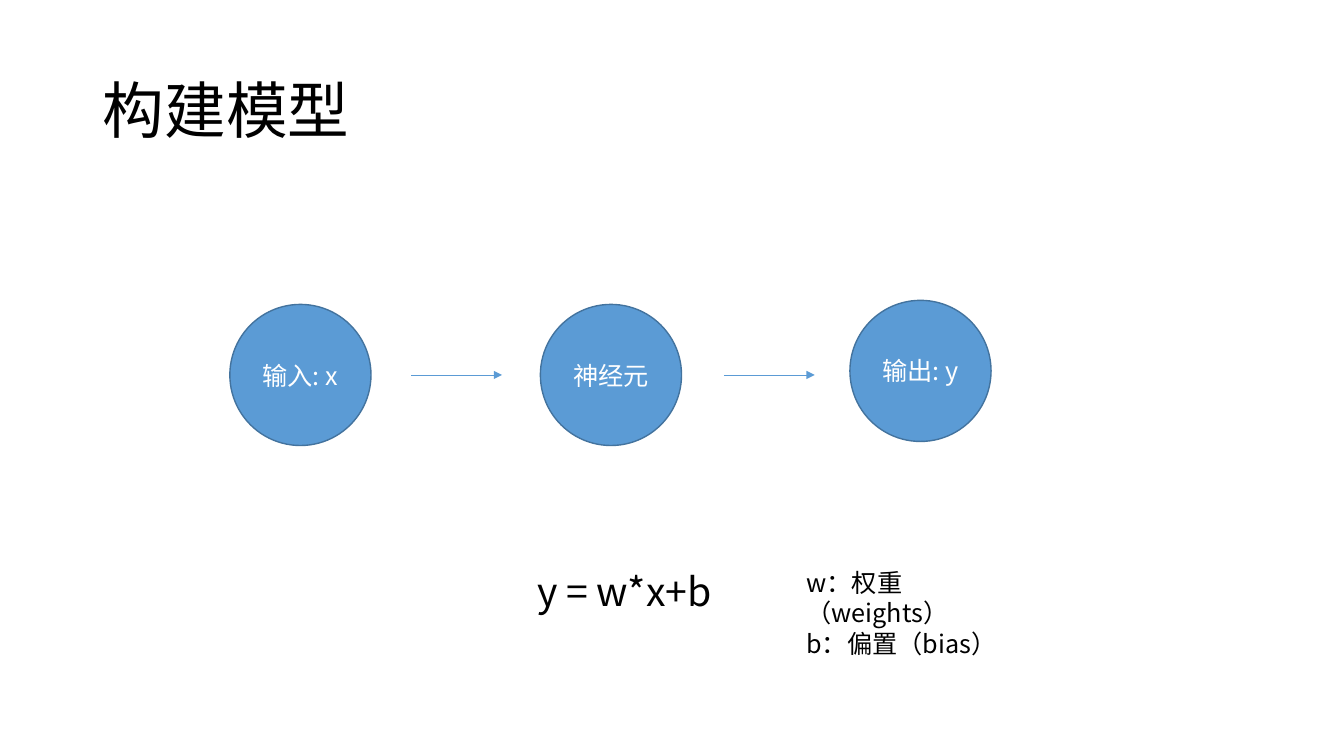
from dataclasses import dataclass

from pptx import Presentation
from pptx.dml.color import RGBColor
from pptx.enum.shapes import MSO_CONNECTOR, MSO_SHAPE
from pptx.enum.text import MSO_ANCHOR, PP_ALIGN
from pptx.oxml.ns import qn
from pptx.util import Inches, Pt
from lxml.etree import SubElement


@dataclass(frozen=True)
class Theme:
    font: str = "Noto Sans CJK SC"
    text: RGBColor = RGBColor(0, 0, 0)
    node_text: RGBColor = RGBColor(255, 255, 255)
    accent: RGBColor = RGBColor(0x5B, 0x9B, 0xD5)
    outline: RGBColor = RGBColor(0x43, 0x73, 0x9E)
    title_size: int = 44
    formula_size: int = 28
    body_size: int = 18


THEME = Theme()
NODE_SIZE = 1.4
ARROW_Y = 3.72
ARROW_LENGTH = 0.9


def add_run(paragraph, text, size, color):
    run = paragraph.add_run()
    run.text = text
    run.font.size = Pt(size)
    run.font.name = THEME.font
    run.font.color.rgb = color
    SubElement(run.font._element, qn("a:ea")).set("typeface", THEME.font)


def set_title(slide, text):
    title = slide.shapes.title
    title.left, title.top = Inches(0.92), Inches(0.4)
    title.width, title.height = Inches(11.5), Inches(1.45)
    title.text_frame.vertical_anchor = MSO_ANCHOR.MIDDLE
    paragraph = title.text_frame.paragraphs[0]
    paragraph.alignment = PP_ALIGN.LEFT
    paragraph.line_spacing = 0.9
    add_run(paragraph, text, THEME.title_size, THEME.text)


def add_node(slide, left, top, text):
    node = slide.shapes.add_shape(
        MSO_SHAPE.OVAL, Inches(left), Inches(top), Inches(NODE_SIZE), Inches(NODE_SIZE))
    node.shadow.inherit = False
    node.fill.solid()
    node.fill.fore_color.rgb = THEME.accent
    node.line.color.rgb = THEME.outline
    node.line.width = Pt(1)
    frame = node.text_frame
    frame.word_wrap = True
    frame.vertical_anchor = MSO_ANCHOR.MIDDLE
    paragraph = frame.paragraphs[0]
    paragraph.alignment = PP_ALIGN.CENTER
    add_run(paragraph, text, THEME.body_size, THEME.node_text)


def add_arrow(slide, left):
    arrow = slide.shapes.add_connector(
        MSO_CONNECTOR.STRAIGHT, Inches(left), Inches(ARROW_Y),
        Inches(left + ARROW_LENGTH), Inches(ARROW_Y))
    arrow.line.color.rgb = THEME.accent
    arrow.line.width = Pt(0.5)
    SubElement(arrow.line._get_or_add_ln(), qn("a:tailEnd")).set("type", "triangle")
    SubElement(arrow._element.spPr, qn("a:effectLst"))


def add_text(slide, left, top, width, height, lines, size, wrap):
    box = slide.shapes.add_textbox(Inches(left), Inches(top), Inches(width), Inches(height))
    frame = box.text_frame
    frame.word_wrap = wrap
    for index, line in enumerate(lines):
        paragraph = frame.add_paragraph() if index else frame.paragraphs[0]
        add_run(paragraph, line, size, THEME.text)


def main():
    presentation = Presentation()
    presentation.slide_width, presentation.slide_height = Inches(13.33), Inches(7.5)
    slide = presentation.slides.add_slide(presentation.slide_layouts[5])
    set_title(slide, "构建模型")
    for left, top, text in [(2.28, 3.02, "输入: x"), (5.36, 3.02, "神经元"), (8.43, 2.98, "输出: y")]:
        add_node(slide, left, top, text)
    for left in (4.08, 7.18):
        add_arrow(slide, left)
    add_text(slide, 5.23, 5.58, 1.96, 0.57, ["y = w*x+b"], THEME.formula_size, False)
    add_text(slide, 7.9, 5.58, 2.47, 0.71, ["w：权重（weights）", "b：偏置（bias）"],
             THEME.body_size, True)
    presentation.save("out.pptx")


if __name__ == "__main__":
    main()
